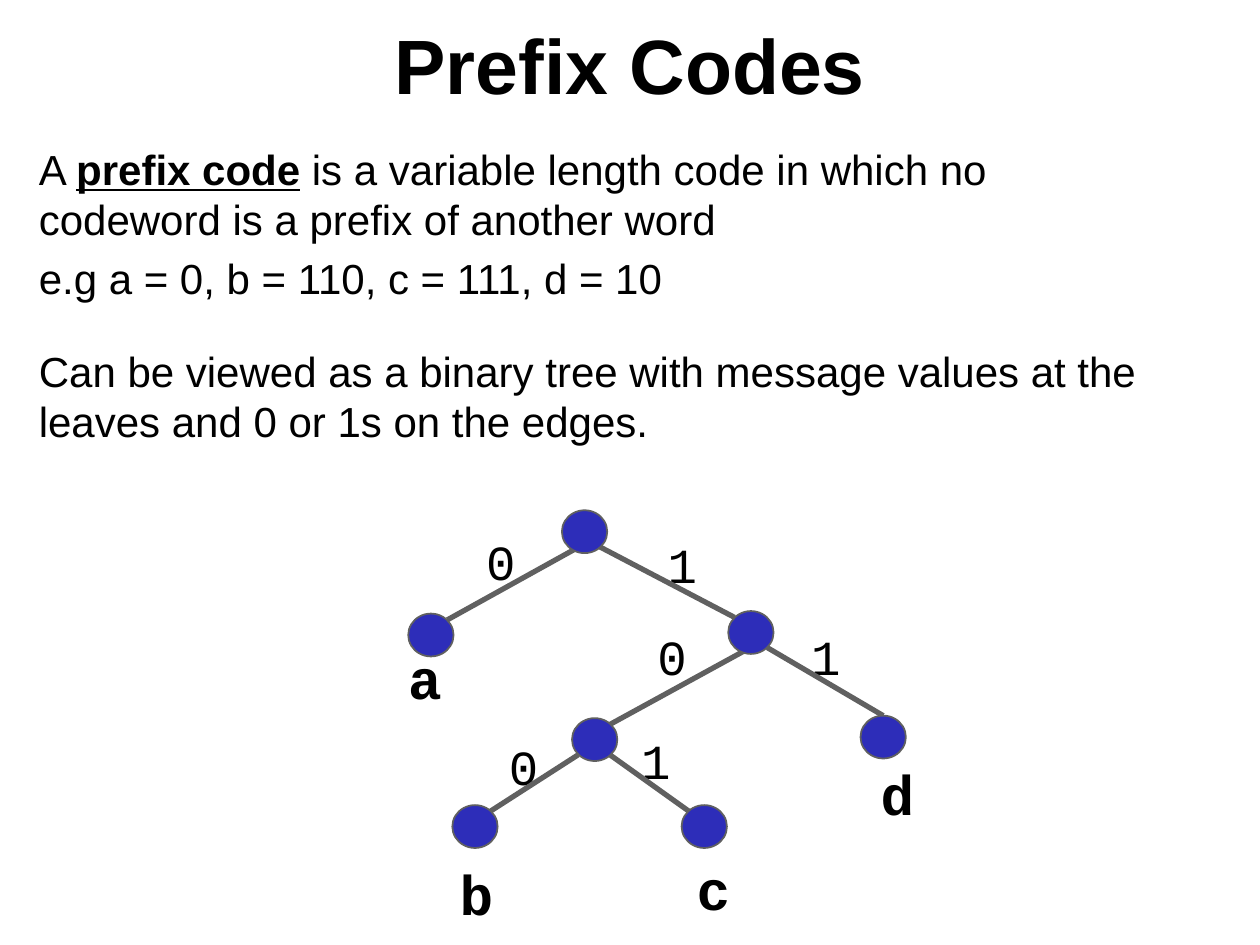
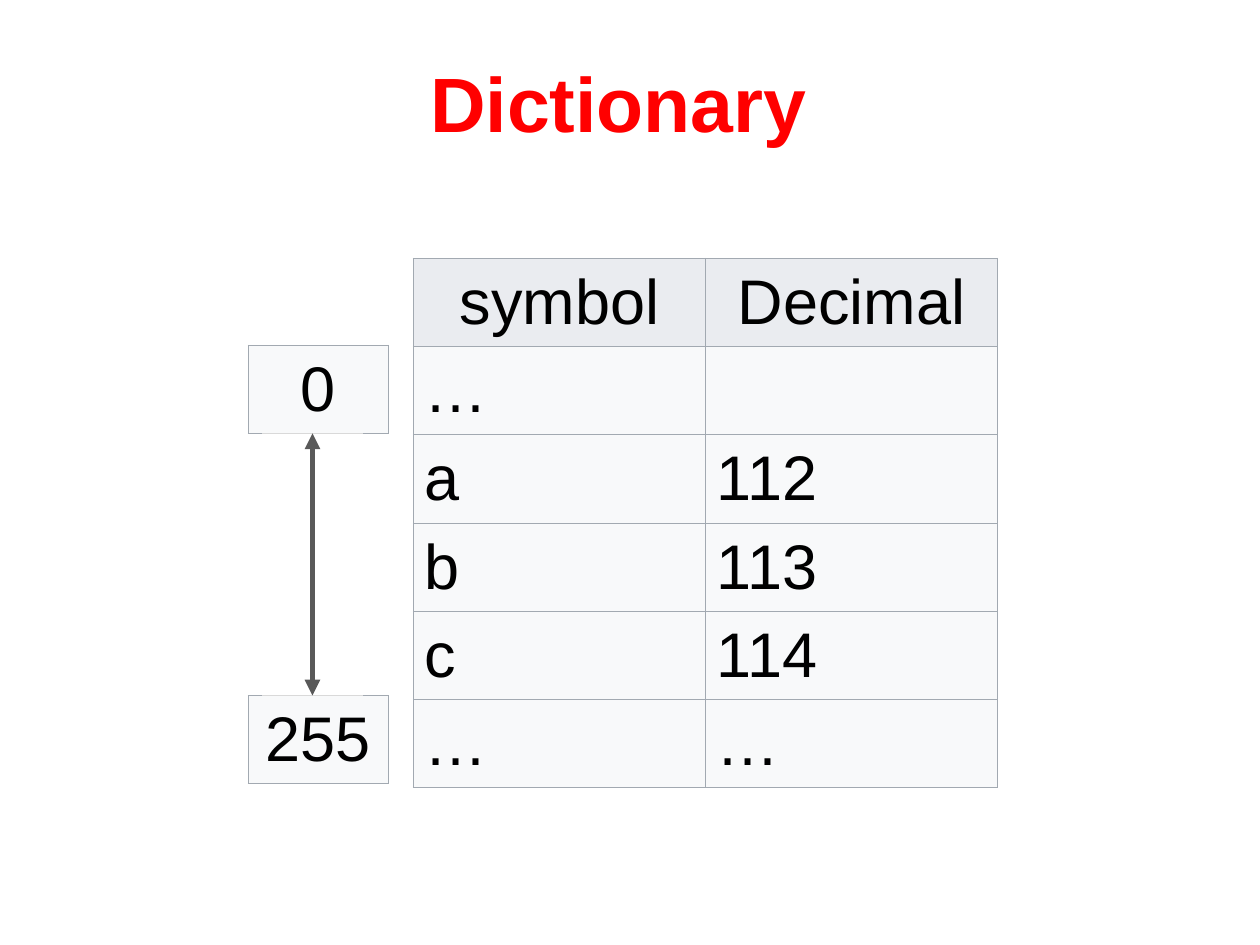
from pptx import Presentation
from pptx.dml.color import RGBColor
from pptx.enum.shapes import MSO_CONNECTOR, MSO_SHAPE
from pptx.enum.text import MSO_ANCHOR, PP_ALIGN
from pptx.oxml.ns import qn
from pptx.util import Inches, Pt
from lxml import etree

STRAIGHT = MSO_CONNECTOR.STRAIGHT
OVAL = MSO_SHAPE.OVAL
BRACKETS = MSO_SHAPE.DOUBLE_BRACKET
MIDDLE = MSO_ANCHOR.MIDDLE
TOP = MSO_ANCHOR.TOP
CENTER = PP_ALIGN.CENTER
LEFT = PP_ALIGN.LEFT

BLACK = RGBColor(0x00, 0x00, 0x00)
RED = RGBColor(0xFF, 0x00, 0x00)
NODE_BLUE = RGBColor(0x2D, 0x2D, 0xB9)
EDGE_GRAY = RGBColor(0x60, 0x60, 0x60)
ARROW_GRAY = RGBColor(0x59, 0x59, 0x59)
BRACKET_GRAY = RGBColor(0xD9, 0xD9, 0xD9)
HEADER_FILL = RGBColor(0xEA, 0xEC, 0xF0)
CELL_FILL = RGBColor(0xF8, 0xF9, 0xFA)
BORDER_HEX = "A2A9B1"

SANS = "Arial"
MONO = "Courier New"


def write(frame, paragraphs, size, face=SANS, color=BLACK, align=LEFT, anchor=TOP, wrap=True):
    frame.word_wrap = wrap
    frame.vertical_anchor = anchor
    for index, (space_before, runs) in enumerate(paragraphs):
        paragraph = frame.add_paragraph() if index else frame.paragraphs[0]
        paragraph.alignment = align
        paragraph.space_before = Pt(space_before)
        for text, strong, underlined in runs:
            run = paragraph.add_run()
            run.text = text
            run.font.name = face
            run.font.size = Pt(size)
            run.font.bold = strong
            run.font.underline = underlined
            run.font.color.rgb = color


def draw_line(slide, start, end, color):
    line = slide.shapes.add_connector(STRAIGHT, *[Inches(value) for value in (*start, *end)])
    line.line.color.rgb = color
    line.line.width = Pt(3)
    etree.SubElement(line._element.spPr, qn("a:effectLst"))
    return line


prs = Presentation()
prs.slide_width = Inches(10)
prs.slide_height = Inches(7.5)
blank = prs.slide_layouts[6]

titles = [
    ("Prefix Codes", (0.75, 0.08, 8.5, 0.86), BLACK),
    ("Dictionary", (0.66, 0.18, 8.5, 1.25), RED),
]
slides = []
for heading, place, color in titles:
    slide = prs.slides.add_slide(blank)
    title = slide.shapes.add_textbox(*[Inches(value) for value in place])
    write(title.text_frame, [(0, [(heading, True, False)])], 44, color=color, align=CENTER, anchor=MIDDLE)
    slides.append(slide)
prefix_codes, dictionary = slides

definition = prefix_codes.shapes.add_textbox(Inches(0.21), Inches(1.09), Inches(9.11), Inches(2.57))
write(definition.text_frame, [
    (0, [
        ("A ", False, False),
        ("prefix code", True, True),
        (" is a variable length code in which no codeword is a prefix of another word", False, False),
    ]),
    (4.8, [("e.g a = 0, b = 110, c = 111, d = 10", False, False)]),
    (24, [("Can be viewed as a binary tree with message values at the leaves and 0 or 1s on the edges.",
           False, False)]),
], 24)

tree_labels = [
    ("a", 3.14, 5.06), ("b", 3.55, 6.77), ("c", 5.43, 6.73), ("d", 6.89, 5.98),
    ("0", 3.76, 4.17), ("0", 5.12, 4.92), ("0", 3.94, 5.8),
    ("1", 4.99, 5.75), ("1", 5.2, 4.19), ("1", 6.34, 4.92),
]
for symbol, left, top in tree_labels:
    is_leaf = symbol.isalpha()
    width, height, size = (0.47, 0.64, 32) if is_leaf else (0.44, 0.57, 28)
    label = prefix_codes.shapes.add_textbox(Inches(left), Inches(top), Inches(width), Inches(height))
    write(label.text_frame, [(0, [(symbol, is_leaf, False)])], size, face=MONO, wrap=False)

tree_edges = [
    ((4.65, 4.31), (3.55, 4.92)),
    ((4.76, 4.34), (5.83, 4.9)),
    ((5.9, 5.17), (4.84, 5.75)),
    ((6.09, 5.14), (7.01, 5.68)),
    ((4.59, 5.99), (3.89, 6.44)),
    ((4.84, 5.99), (5.47, 6.44)),
]
for parent, child in tree_edges:
    draw_line(prefix_codes, parent, child, EDGE_GRAY)

tree_nodes = [(4.46, 4.05), (3.24, 4.87), (5.78, 4.85), (6.83, 5.68), (4.54, 5.7), (3.59, 6.39), (5.41, 6.39)]
for left, top in tree_nodes:
    node = prefix_codes.shapes.add_shape(OVAL, Inches(left), Inches(top), Inches(0.36), Inches(0.34))
    node.shadow.inherit = False
    node.fill.solid()
    node.fill.fore_color.rgb = NODE_BLUE
    node.line.color.rgb = EDGE_GRAY
    node.line.width = Pt(1)

symbol_rows = [
    ("symbol", "Decimal"),
    ("…", ""),
    ("a", "112"),
    ("b", "113"),
    ("c", "114"),
    ("…", "…"),
]
grids = [
    (symbol_rows, 3.28, 2.05, 2.32, True),
    ([("0",)], 1.97, 2.74, 1.11, False),
    ([("255",)], 1.97, 5.52, 1.11, False),
]
row_height = 0.65
for rows, left, top, column_width, has_header in grids:
    columns = len(rows[0])
    grid = dictionary.shapes.add_table(
        len(rows), columns, Inches(left), Inches(top),
        Inches(column_width * columns), Inches(row_height * len(rows))).table
    grid.first_row = has_header
    grid.horz_banding = False
    for row_index, row in enumerate(rows):
        for column_index, text in enumerate(row):
            cell = grid.cell(row_index, column_index)
            in_header = has_header and row_index == 0
            cell.margin_left = cell.margin_right = Inches(0.09)
            cell.margin_top = cell.margin_bottom = Inches(0.05)
            cell.vertical_anchor = MIDDLE
            if text:
                centered = in_header or not has_header
                write(cell.text_frame, [(0, [(text, False, False)])], 36,
                      align=CENTER if centered else LEFT, anchor=None)
            else:
                cell.text_frame.paragraphs[0].font.size = Pt(36)
            properties = cell._tc.get_or_add_tcPr()
            for side in ("a:lnL", "a:lnR", "a:lnT", "a:lnB"):
                border = etree.SubElement(properties, qn(side), w=str(Pt(0.6)))
                border_fill = etree.SubElement(border, qn("a:solidFill"))
                etree.SubElement(border_fill, qn("a:srgbClr"), val=BORDER_HEX)
            cell.fill.solid()
            cell.fill.fore_color.rgb = HEADER_FILL if in_header else CELL_FILL

index_range = dictionary.shapes.add_shape(BRACKETS, Inches(1.44), Inches(4.08), Inches(2.08), Inches(0.8))
index_range.rotation = 90
index_range.adjustments[0] = 0
index_range.shadow.inherit = False
index_range.fill.background()
index_range.line.color.rgb = BRACKET_GRAY
index_range.line.width = Pt(0.25)

range_arrow = draw_line(dictionary, (2.48, 3.44), (2.48, 5.52), ARROW_GRAY)
arrow_line = range_arrow.line._get_or_add_ln()
for end in ("a:headEnd", "a:tailEnd"):
    etree.SubElement(arrow_line, qn(end), type="triangle")

prs.save("out.pptx")
